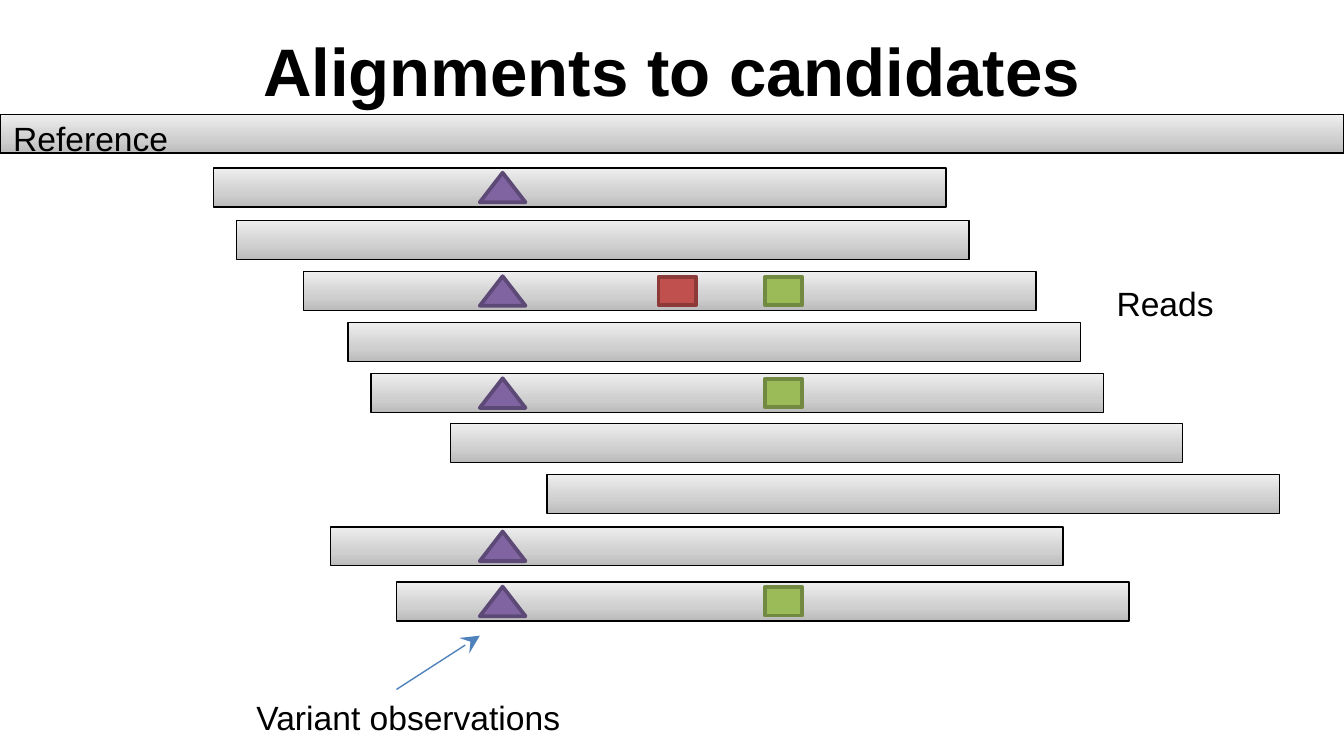
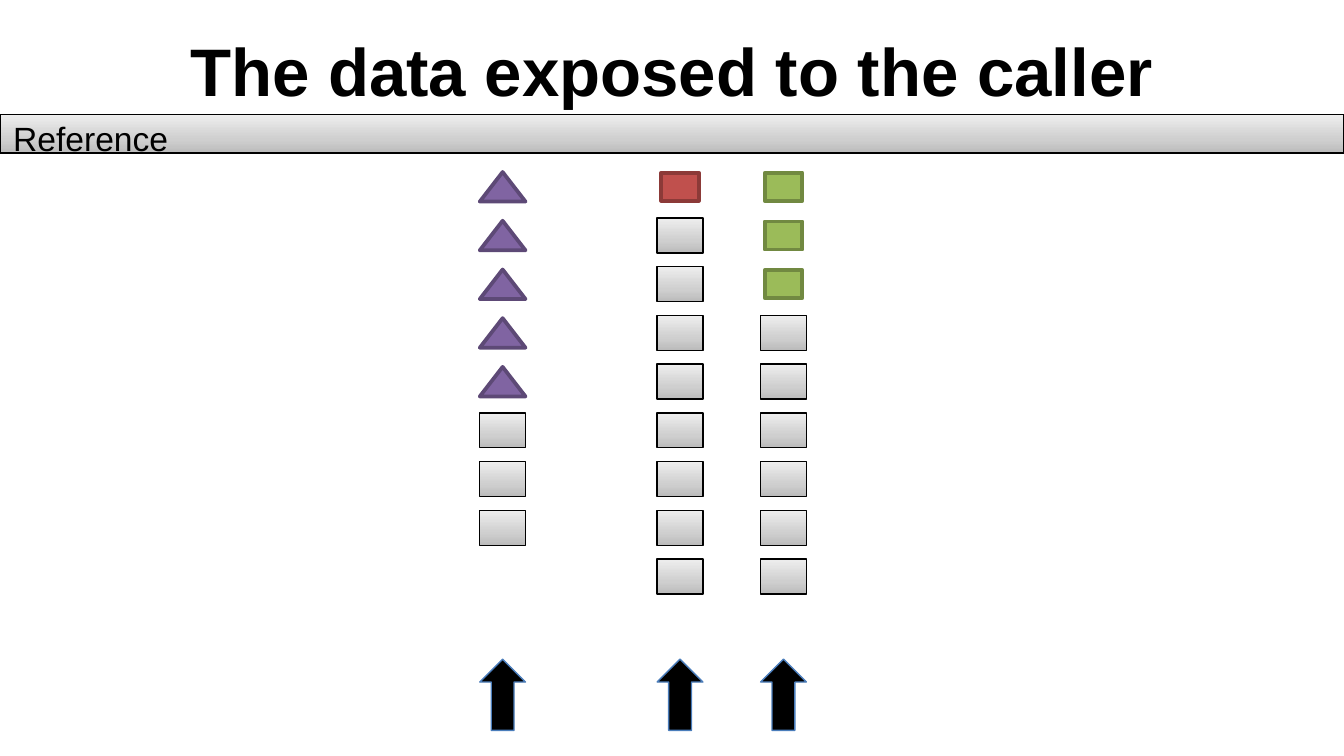
import copy

import pptx
import pptx.dml.color
import pptx.enum.dml
import pptx.enum.shapes
import pptx.enum.text
import pptx.oxml.ns
import pptx.util
from lxml import etree

SLIDE_W = 10
SLIDE_H = SLIDE_W * 9 / 16
FONT = "Arial"
BLACK = "000000"
GREY_STOPS = [(0, "BBBBBB"), (0.35, "CFCFCF"), (1, "EEEEEE")]

PRESET = pptx.enum.shapes.MSO_SHAPE
ALIGN = pptx.enum.text.PP_ALIGN
ANCHOR = pptx.enum.text.MSO_ANCHOR

# kind: preset, width, height, fill, line colour, line width
KINDS = {
    "triangle": (PRESET.ISOSCELES_TRIANGLE, 0.34, 0.22, "8064A2", "5D4976", 2),
    "red": (PRESET.RECTANGLE, 0.28, 0.21, "C0504D", "8C3A38", 2),
    "green": (PRESET.RECTANGLE, 0.28, 0.21, "9BBB59", "718941", 2),
    "match": (PRESET.RECTANGLE, 0.34, 0.26, GREY_STOPS, BLACK, 0.75),
    "read": (PRESET.RECTANGLE, 5.45, 0.29, GREY_STOPS, BLACK, 0.75),
    "reference": (PRESET.RECTANGLE, SLIDE_W, 0.29, GREY_STOPS, BLACK, 0.75),
    "pointer": (PRESET.UP_ARROW, 0.34, 0.53, BLACK, "4A7DBB", 0.75),
}
REFERENCE_TOP = 0.85

# Slide 1: left and top of each read, and the variants it shows
READS = [
    (1.59, 1.25, ["triangle"]),
    (1.76, 1.64, []),
    (2.26, 2.02, ["triangle", "red", "green"]),
    (2.59, 2.40, []),
    (2.76, 2.78, ["triangle", "green"]),
    (3.35, 3.15, []),
    (4.07, 3.53, []),
    (2.46, 3.92, ["triangle"]),
    (2.95, 4.33, ["triangle", "green"]),
]
VARIANT_X = {"triangle": 3.74, "red": 5.04, "green": 5.83}

# Slide 2: centre of each pileup column, and its observations from the top
PILEUPS = [
    (3.74, ["triangle"] * 5 + ["match"] * 3),
    (5.06, ["red"] + ["match"] * 8),
    (5.83, ["green"] * 3 + ["match"] * 6),
]
FIRST_ROW, LAST_ROW, ROW_COUNT = 1.39, 4.29, 9
ROW_PITCH = (LAST_ROW - FIRST_ROW) / (ROW_COUNT - 1)
POINTER_Y = 5.17


def inches(*lengths):
    return [pptx.util.Inches(length) for length in lengths]


def rgb(code):
    return pptx.dml.color.RGBColor.from_string(code)


def fill_gradient(shape, stops):
    """Fill from the bottom (first stop) to the top (last stop)."""
    shape.fill.gradient()
    shape.fill.gradient_angle = 90
    stop_list = shape._element.spPr.find(".//" + pptx.oxml.ns.qn("a:gsLst"))
    while len(stop_list) < len(stops):
        stop_list.append(copy.deepcopy(stop_list[0]))
    for stop, (position, colour) in zip(shape.fill.gradient_stops, stops):
        stop.position = position
        stop.color.rgb = rgb(colour)


def add_mark(slide, kind, center_x, center_y):
    preset, width, height, fill, line, line_width = KINDS[kind]
    mark = slide.shapes.add_shape(preset, *inches(
        center_x - width / 2, center_y - height / 2, width, height))
    mark.shadow.inherit = False
    if isinstance(fill, str):
        mark.fill.solid()
        mark.fill.fore_color.rgb = rgb(fill)
    else:
        fill_gradient(mark, fill)
    mark.line.color.rgb = rgb(line)
    mark.line.width = pptx.util.Pt(line_width)


def add_text(slide, text, *box, size=18, bold=False, align=ALIGN.LEFT, anchor=ANCHOR.TOP):
    frame = slide.shapes.add_textbox(*inches(*box)).text_frame
    frame.word_wrap = True
    frame.vertical_anchor = anchor
    paragraph = frame.paragraphs[0]
    paragraph.alignment = align
    run = paragraph.add_run()
    run.text = text
    run.font.name = FONT
    run.font.size = pptx.util.Pt(size)
    run.font.bold = bold
    run.font.color.rgb = rgb(BLACK)


def add_arrow(slide, start, end):
    arrow = slide.shapes.add_connector(
        pptx.enum.shapes.MSO_CONNECTOR.STRAIGHT, *inches(*start, *end))
    arrow.line.color.rgb = rgb("4F81BD")
    arrow.line.width = pptx.util.Pt(0.75)
    qn = pptx.oxml.ns.qn
    outline = arrow._element.spPr.find(qn("a:ln"))
    etree.SubElement(outline, qn("a:tailEnd"), type="stealth", w="lg", len="lg")
    etree.SubElement(arrow._element.spPr, qn("a:effectLst"))


def add_slide(deck, title):
    """Add a slide with its title."""
    slide = deck.slides.add_slide(deck.slide_layouts[6])
    add_text(slide, title, 0.5, 0.05, 9, 0.94, size=36, bold=True,
             align=ALIGN.CENTER, anchor=ANCHOR.MIDDLE)
    return slide


def add_reference(slide):
    add_mark(slide, "reference", SLIDE_W / 2, REFERENCE_TOP + KINDS["reference"][2] / 2)
    add_text(slide, "Reference", 0, 0.83, 1.37, 0.3)


def build_alignments(deck):
    slide = add_slide(deck, "Alignments to candidates")
    _, read_w, read_h, *_ = KINDS["read"]
    for left, top, variants in READS:
        center_y = top + read_h / 2
        add_mark(slide, "read", left + read_w / 2, center_y)
        for variant in variants:
            add_mark(slide, variant, VARIANT_X[variant], center_y)
    add_reference(slide)
    add_text(slide, "Reads", 8.21, 2.06, 0.93, 0.3)
    add_arrow(slide, (2.95, 5.13), (3.57, 4.73))
    add_text(slide, "Variant observations", 1.81, 5.14, 2.5, 0.3)


def build_pileups(deck):
    slide = add_slide(deck, "The data exposed to the caller")
    add_reference(slide)
    for center_x, observations in PILEUPS:
        for row, observation in enumerate(observations):
            add_mark(slide, observation, center_x, FIRST_ROW + row * ROW_PITCH)
        add_mark(slide, "pointer", center_x, POINTER_Y)


def main():
    deck = pptx.Presentation()
    deck.slide_width, deck.slide_height = inches(SLIDE_W, SLIDE_H)
    build_alignments(deck)
    build_pileups(deck)
    deck.save("out.pptx")


if __name__ == "__main__":
    main()
